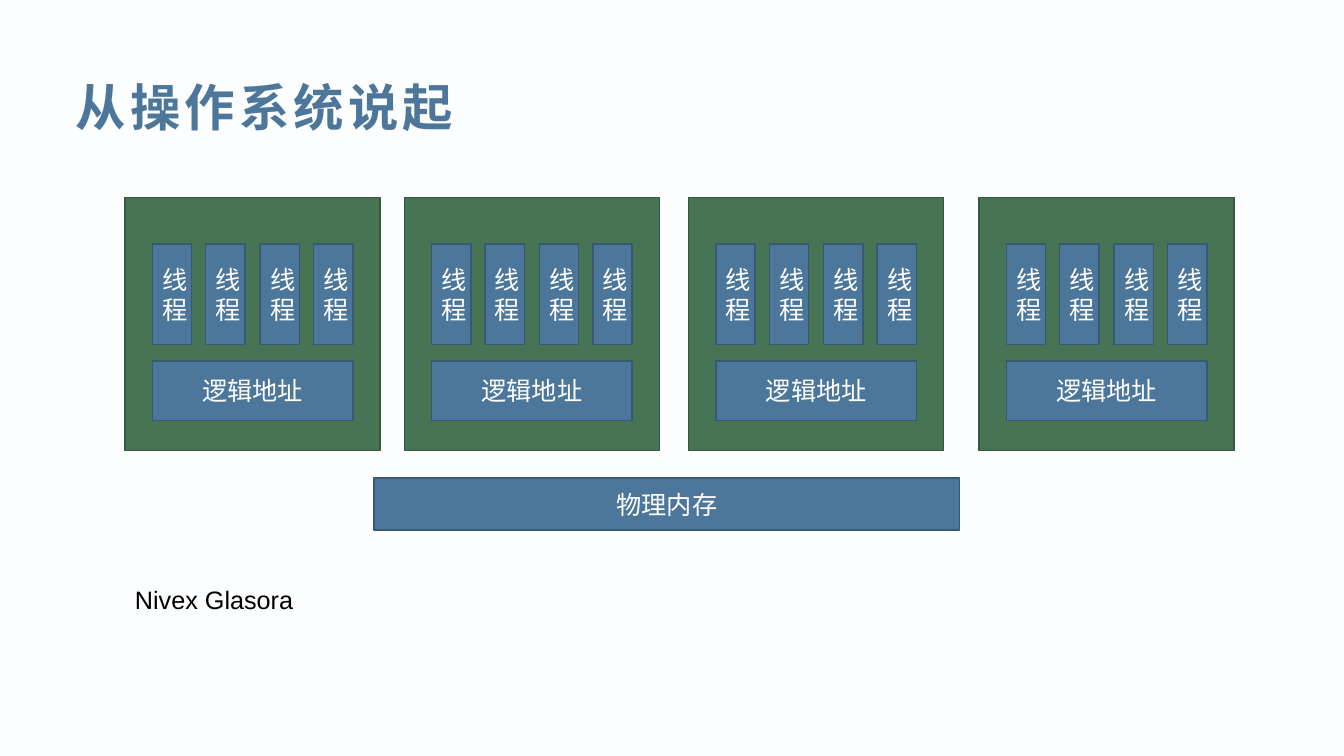
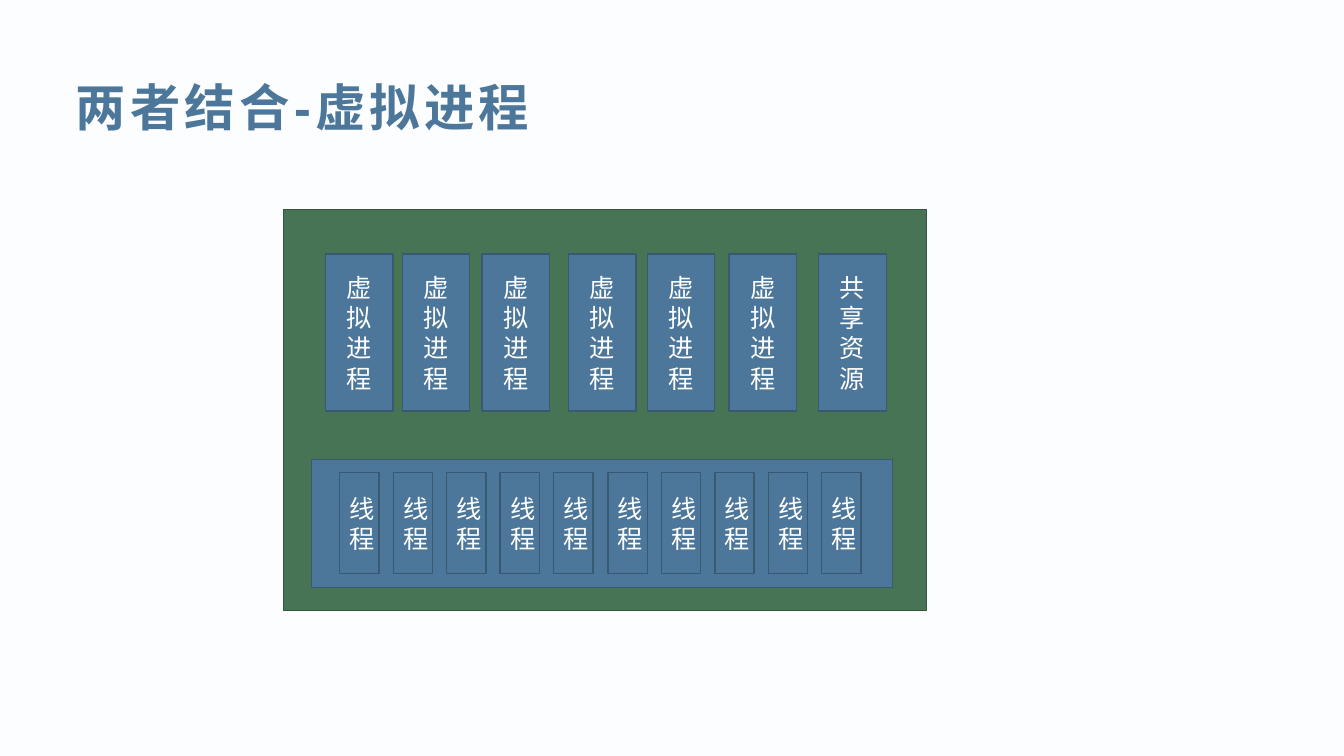
from pptx import Presentation
from pptx import util as u
from pptx.dml.color import RGBColor
from pptx.enum import lang, shapes, text
from pptx.oxml.ns import qn
from lxml import etree

EMU_PER_PX = 9144  # 100 px to the inch
FONT = "Arial"
BACKGROUND, BLUE, BLUE_EDGE = "FBFDFE", "4D779A", "395872"
GREEN, GREEN_EDGE = "477455", "35563F"
WHITE, BLACK = "FFFFFF", "000000"


def px(length):
    return u.Emu(round(length * EMU_PER_PX))


def color(hex_string):
    return RGBColor.from_string(hex_string)


def spread(left, width, item_width, count):
    """Left edges of equal items that fill a width with equal gaps."""
    pitch = (width - item_width) / (count - 1)
    return [round(left + index * pitch) for index in range(count)]


def write(shape, content, size=18, fill=WHITE, bold=False, spacing=0,
          align=text.PP_ALIGN.CENTER, anchor=text.MSO_ANCHOR.MIDDLE):
    frame = shape.text_frame
    frame.word_wrap = True
    frame.auto_size = text.MSO_AUTO_SIZE.NONE
    frame.vertical_anchor = anchor
    paragraph = frame.paragraphs[0]
    paragraph.alignment = align
    run = paragraph.add_run()
    run.text = content
    font = run.font
    font.name, font.size, font.bold = FONT, u.Pt(size), bold
    font.color.rgb = color(fill)
    font.language_id = lang.MSO_LANGUAGE_ID.SIMPLIFIED_CHINESE
    properties = run._r.get_or_add_rPr()
    etree.SubElement(properties, qn("a:ea")).set("typeface", FONT)
    if spacing:
        properties.set("spc", str(spacing * 100))


class Deck:
    """Holds the shared style, the current slide and the current group."""

    def __init__(self):
        self.presentation = Presentation()
        self.presentation.slide_width = px(1333)
        self.presentation.slide_height = px(750)
        fill = self.presentation.slide_master.background.fill
        fill.solid()
        fill.fore_color.rgb = color(BACKGROUND)

    def start_slide(self, title):
        layout = self.presentation.slide_layouts.get_by_name("Title Only")
        self.slide = self.presentation.slides.add_slide(layout)
        self.shapes = self.slide.shapes
        heading = self.shapes.title
        heading.left, heading.top = px(65), px(67)
        heading.width, heading.height = px(1228), px(77)
        write(heading, title, size=36, fill=BLUE, bold=True, spacing=3,
              align=text.PP_ALIGN.LEFT)

    def start_group(self):
        self.shapes = self.slide.shapes.add_group_shape().shapes

    def box(self, left, top, width, height, content="", fill=BLUE, edge=BLUE_EDGE):
        shape = self.shapes.add_shape(shapes.MSO_SHAPE.RECTANGLE, px(left), px(top),
                                      px(width), px(height))
        shape.shadow.inherit = False
        shape.fill.solid()
        shape.fill.fore_color.rgb = color(fill)
        shape.line.color.rgb = color(edge)
        shape.line.width = u.Pt(1)
        if content:
            write(shape, content)

    def panel(self, left, top, width, height):
        self.box(left, top, width, height, fill=GREEN, edge=GREEN_EDGE)

    def threads(self, left, top, width, count):
        for thread_left in spread(left, width, 39, count):
            self.box(thread_left, top, 39, 100, "线程")

    def process(self, left):
        """An operating system process: its threads above its logical addresses."""
        self.start_group()
        self.panel(left, 196, 253, 251)
        self.box(left + 27, 358, 199, 59, "逻辑地址")
        self.threads(left + 27, 242, 199, 4)

    def note(self, left, top, width, height, content):
        textbox = self.slide.shapes.add_textbox(px(left), px(top), px(width), px(height))
        write(textbox, content, fill=BLACK, align=text.PP_ALIGN.LEFT,
              anchor=text.MSO_ANCHOR.TOP)


def operating_system_slide(deck):
    deck.start_slide("从操作系统说起")
    deck.box(371, 474, 581, 52, "物理内存")
    for left in (124, 401, 683, 971):
        deck.process(left)
    deck.note(124, 575, 828, 40, "Nivex Glasora")


def virtual_process_slide(deck):
    deck.start_slide("两者结合-虚拟进程")
    deck.start_group()
    deck.panel(281, 208, 638, 398)
    deck.box(309, 456, 576, 127)
    deck.threads(337, 469, 517, 10)
    for left in (323, 399, 478, 564, 642, 723):
        deck.box(left, 252, 67, 156, "虚拟进程")
    deck.box(812, 252, 67, 156, "共享资源")


def main():
    deck = Deck()
    operating_system_slide(deck)
    virtual_process_slide(deck)
    deck.presentation.save("out.pptx")


if __name__ == "__main__":
    main()
